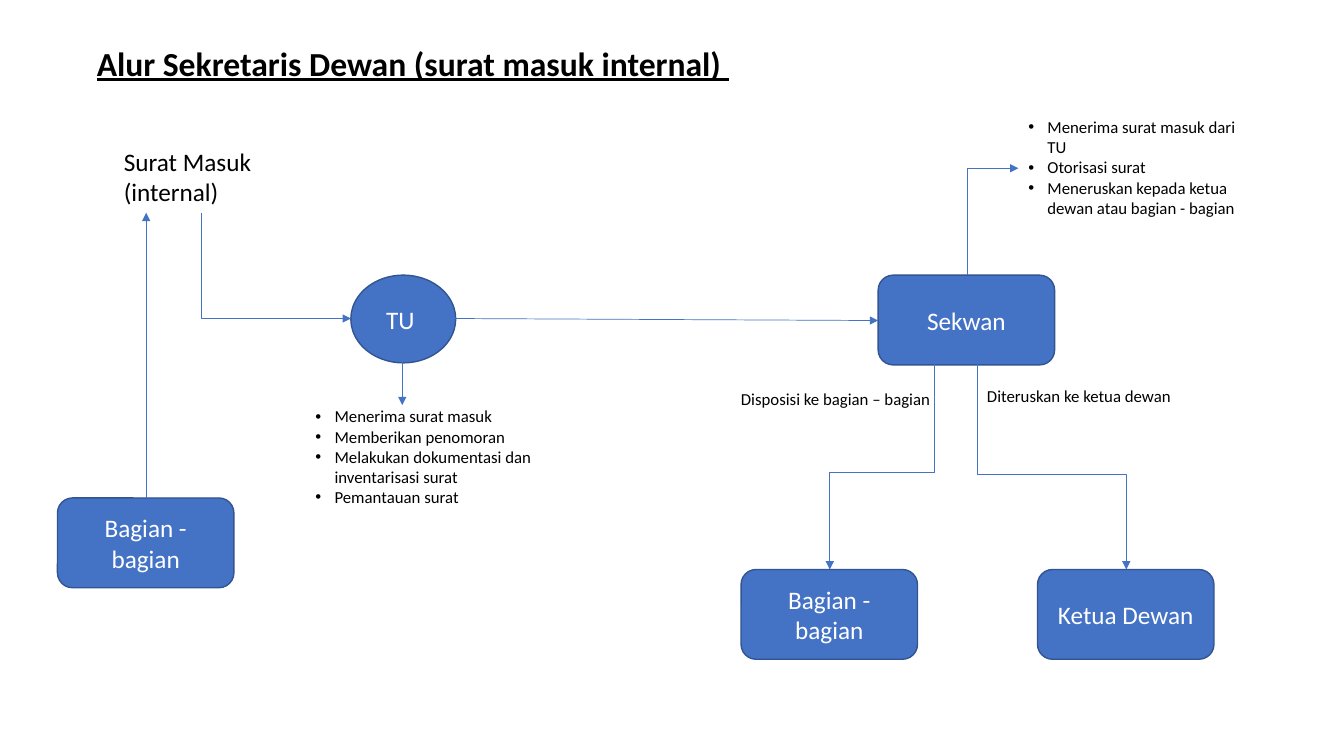
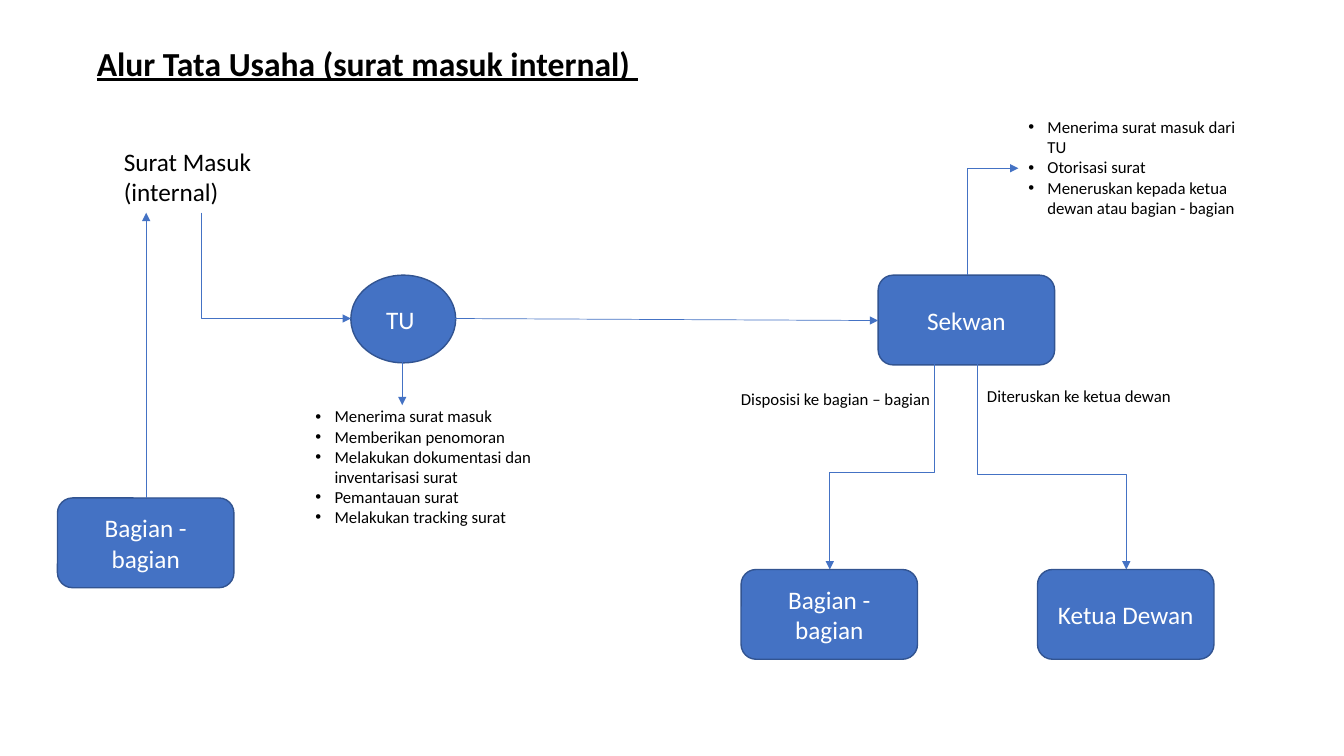
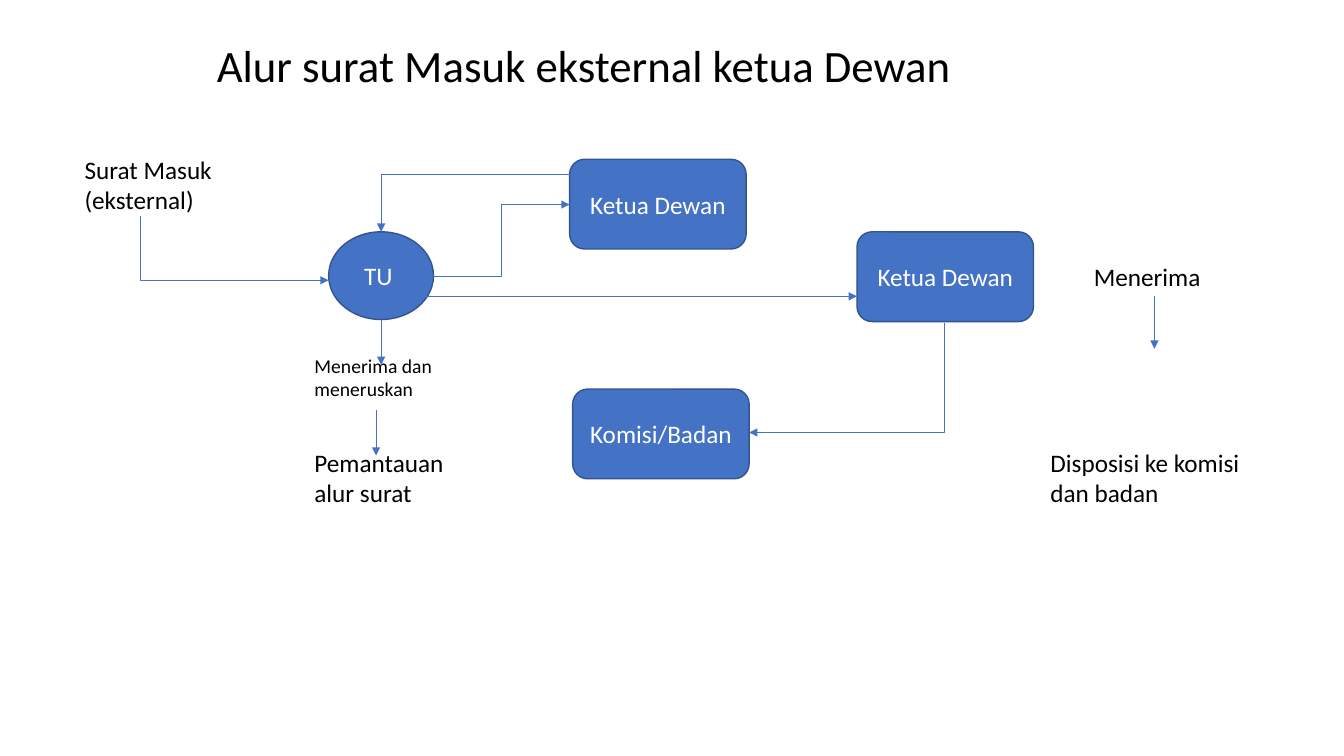
from lxml import etree
from pptx import Presentation
from pptx.dml.color import RGBColor
from pptx.enum.shapes import MSO_CONNECTOR as LINK, MSO_SHAPE as SHAPE
from pptx.enum.text import MSO_ANCHOR as ANCHOR, MSO_AUTO_SIZE as AUTO, PP_ALIGN as ALIGN
from pptx.oxml.ns import qn
from pptx.util import Inches, Pt

COLORS = {"fill": "4472C4", "border": "325491", "text": "000000", "on_fill": "FFFFFF"}
FONT = "Calibri"
NODE_SIZE = (1.75, 0.89)
OFFICE_SIZE = (1.04, 0.87)
TASKS_WIDTH = 2.39

# (first direction, heads right, heads down) -> (rotation, flips)
ELBOW_TURNS = {
    ("down", True, True): (270, ["flipH"]),
    ("down", False, True): (90, []),
    ("up", True, False): (90, ["flipH", "flipV"]),
    ("side", True, False): (0, ["flipV"]),
    ("side", False, True): (180, ["flipV"]),
}

TU_TASKS = [
    "Menerima surat masuk",
    "Memberikan penomoran",
    "Melakukan dokumentasi dan inventarisasi surat",
    "Pemantauan surat",
]
SEKWAN_TASKS = [
    "Menerima surat masuk dari TU",
    "Otorisasi surat",
    "Meneruskan kepada ketua dewan atau bagian - bagian",
]


def color(name):
    return RGBColor.from_string(COLORS[name])


def add_run(paragraph, text, size, shade="text", strong=False):
    run = paragraph.add_run()
    run.text = text
    font = run.font
    font.name, font.size = FONT, Pt(size)
    font.bold = font.underline = strong
    font.color.rgb = color(shade)


def add_bullet(paragraph):
    props = paragraph._p.get_or_add_pPr()
    props.set("marL", str(Inches(0.19)))
    props.set("indent", str(-Inches(0.19)))
    etree.SubElement(props, qn("a:buFont")).set("typeface", "Arial")
    etree.SubElement(props, qn("a:buChar")).set("char", "•")


def style_line(connector):
    connector.line.color.rgb = color("fill")
    connector.line.width = Pt(0.5)
    line = connector.line._get_or_add_ln()
    etree.SubElement(line, qn("a:tailEnd")).set("type", "triangle")
    etree.SubElement(connector._element.spPr, qn("a:effectLst"))


class Region:
    """Part of a flow chart; positions count from its top left corner."""

    def __init__(self, slide, left=0, top=0):
        self.shapes = slide.shapes
        self.left, self.top = left, top

    def point(self, x, y):
        return Inches(self.left + x), Inches(self.top + y)

    def node(self, text, x, y, preset=SHAPE.ROUNDED_RECTANGLE, size=NODE_SIZE):
        node = self.shapes.add_shape(preset, *self.point(x, y), *map(Inches, size))
        node.shadow.inherit = False
        node.fill.solid()
        node.fill.fore_color.rgb = color("fill")
        node.line.color.rgb = color("border")
        node.line.width = Pt(1)
        node.text_frame.word_wrap = True
        node.text_frame.vertical_anchor = ANCHOR.MIDDLE
        paragraph = node.text_frame.paragraphs[0]
        paragraph.alignment = ALIGN.CENTER
        add_run(paragraph, text, 18, "on_fill")

    def office(self, x, y):
        self.node("TU ", x, y, SHAPE.OVAL, OFFICE_SIZE)

    def note(self, lines, x, y, width, height, size=18, bullets=False):
        note = self.shapes.add_textbox(*self.point(x, y), Inches(width), Inches(height))
        frame = note.text_frame
        frame.word_wrap = True
        frame.auto_size = AUTO.SHAPE_TO_FIT_TEXT
        for index, line in enumerate(lines):
            paragraph = frame.add_paragraph() if index else frame.paragraphs[0]
            if bullets:
                add_bullet(paragraph)
            add_run(paragraph, line, size)

    def tasks(self, lines, x, y, height):
        self.note(lines, x, y, TASKS_WIDTH, height, 12, bullets=True)

    def arrow(self, start, end):
        style_line(self.shapes.add_connector(
            LINK.STRAIGHT, *self.point(*start), *self.point(*end)))

    def elbow(self, start, end, first, bend=None):
        """Bent arrow: one corner, or two when bend gives the share before turning."""
        (x1, y1), (x2, y2) = start, end
        across, along = abs(x2 - x1), abs(y2 - y1)
        width, height = (across, along) if first == "side" else (along, across)
        x, y = (x1 + x2 - width) / 2, (y1 + y2 - height) / 2
        connector = self.shapes.add_connector(
            LINK.ELBOW, *self.point(x, y), *self.point(x + width, y + height))
        rotation, flips = ELBOW_TURNS[first, x2 > x1, y2 > y1]
        frame = connector._element.spPr.find(qn("a:xfrm"))
        frame.set("rot", str(rotation * 60000))
        for flip in flips:
            frame.set(flip, "1")
        geometry = connector._element.spPr.find(qn("a:prstGeom"))
        if bend is None:
            geometry.set("prst", "bentConnector2")
        else:
            guide = etree.SubElement(geometry.find(qn("a:avLst")), qn("a:gd"))
            guide.set("name", "adj1")
            guide.set("fmla", f"val {round(bend * 100000)}")
        style_line(connector)


def add_titled_slide(deck, text, box, size, strong=False, spacing=1.0):
    slide = deck.slides.add_slide(deck.slide_layouts[5])
    title = slide.shapes.title
    title.left, title.top, title.width, title.height = map(Inches, box)
    frame = title.text_frame
    frame.word_wrap = True
    frame.auto_size = AUTO.NONE
    frame.vertical_anchor = ANCHOR.MIDDLE
    paragraph = frame.paragraphs[0]
    paragraph.alignment = ALIGN.LEFT
    paragraph.line_spacing = spacing
    add_run(paragraph, text, size, strong=strong)
    return slide


def internal_intake(slide, left, top, tu_tasks, tasks_height):
    region = Region(slide, left, top)
    region.note(["Surat Masuk (internal)"], 0.56, 0, 1.74, 0.71)
    region.node("Bagian - bagian", 0, 3.54)
    region.office(2.91, 1.33)
    region.tasks(tu_tasks, 2.46, 2.58, tasks_height)
    region.arrow((0.88, 3.54), (0.88, 0.71))
    region.elbow((1.43, 0.71), (2.91, 1.76), "down")
    region.arrow((3.42, 2.12), (3.42, 2.62))


def sekwan_decision(slide, left, top):
    region = Region(slide, left, top)
    region.node("Sekwan", 1.46, 1.62)
    region.tasks(SEKWAN_TASKS, 2.85, 0, 1.11)
    region.elbow((2.34, 1.62), (2.85, 0.56), "up")
    region.note(["Disposisi ke bagian – bagian"], 0, 2.7, 2.11, 0.3, 12)
    region.elbow((2.02, 2.5), (0.98, 4.54), "down", 0.53)
    region.node("Bagian - bagian", 0.1, 4.54)
    region.note(["Diteruskan ke ketua dewan"], 2.44, 2.67, 2.11, 0.3, 12)
    region.elbow((2.44, 2.48), (3.92, 4.54), "down", 0.54)
    region.node("Ketua Dewan", 3.04, 4.54)


def internal_slide(deck, title, tu_tasks, tasks_height):
    slide = add_titled_slide(deck, title, (0.86, 0.3, 11.5, 0.7), 24, True, 0.9)
    internal_intake(slide, 0.57, 1.4, tu_tasks, tasks_height)
    sekwan_decision(slide, 7.25, 1.11)
    Region(slide).arrow((4.51, 3.16), (8.71, 3.18))


def external_intake(slide, left, top):
    region = Region(slide, left, top)
    region.note(["Surat Masuk (eksternal)"], 0, 0, 1.74, 0.71)
    region.office(2.52, 0.82)
    region.elbow((0.65, 0.66), (2.52, 1.3), "down")
    region.note(["Menerima dan meneruskan"], 2.28, 1.98, 1.52, 0.57, 14)
    region.arrow((3.04, 1.69), (3.04, 2.14))
    region.note(["Pemantauan alur surat"], 2.28, 2.91, 1.52, 0.71)
    region.arrow((2.99, 2.59), (2.99, 3.04))


def council(slide, left, top):
    region = Region(slide, left, top)
    region.node("Ketua Dewan", 0, 0)
    region.node("Ketua Dewan", 2.85, 0.72)
    region.node("Komisi/Badan", 0.03, 2.28)
    region.elbow((3.72, 1.62), (1.78, 2.71), "down")


def outcome(slide, left, top):
    region = Region(slide, left, top)
    region.note(["Menerima"], 0.43, 0, 1.39, 0.4)
    region.arrow((1.13, 0.4), (1.13, 0.92))
    region.note(["Disposisi ke komisi dan badan"], 0, 1.85, 2.27, 0.71)


def external_slide(deck):
    slide = add_titled_slide(
        deck, "Alur surat Masuk eksternal ketua Dewan", (2.05, 0.32, 8.2, 0.64), 32)
    external_intake(slide, 0.74, 1.48)
    council(slide, 5.65, 1.58)
    outcome(slide, 10.32, 2.54)
    links = Region(slide)
    links.elbow((4.29, 2.74), (5.65, 2.03), "side", 0.5)
    links.elbow((5.65, 1.73), (3.78, 2.3), "side")
    links.arrow((4.22, 2.94), (8.5, 2.94))


def main():
    deck = Presentation()
    deck.slide_width, deck.slide_height = Inches(13.33), Inches(7.5)
    internal_slide(deck, "Alur Sekretaris Dewan (surat masuk internal) ", TU_TASKS, 1.11)
    internal_slide(deck, "Alur Tata Usaha (surat masuk internal) ",
                   TU_TASKS + ["Melakukan tracking surat"], 1.31)
    external_slide(deck)
    deck.save("out.pptx")


if __name__ == "__main__":
    main()
